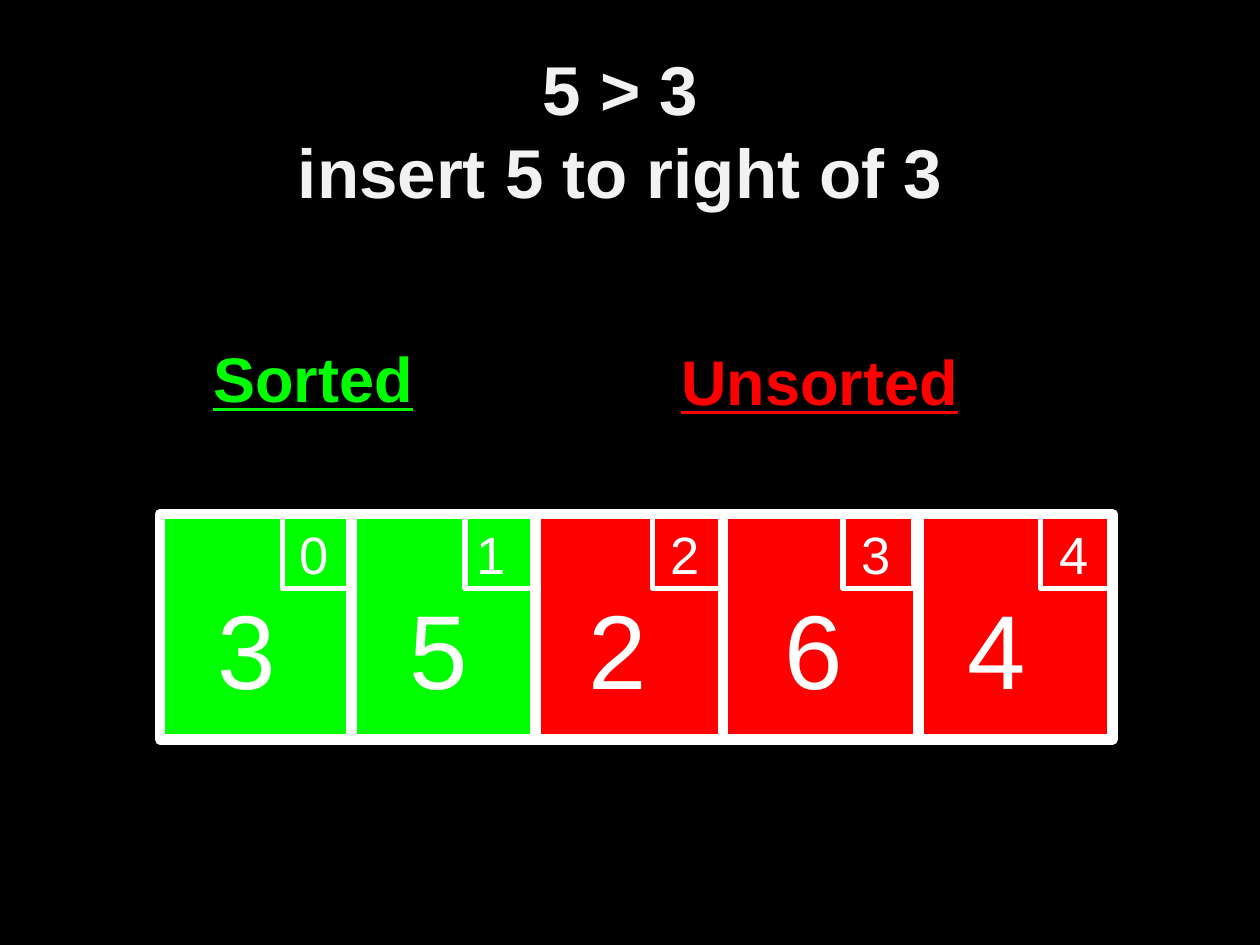
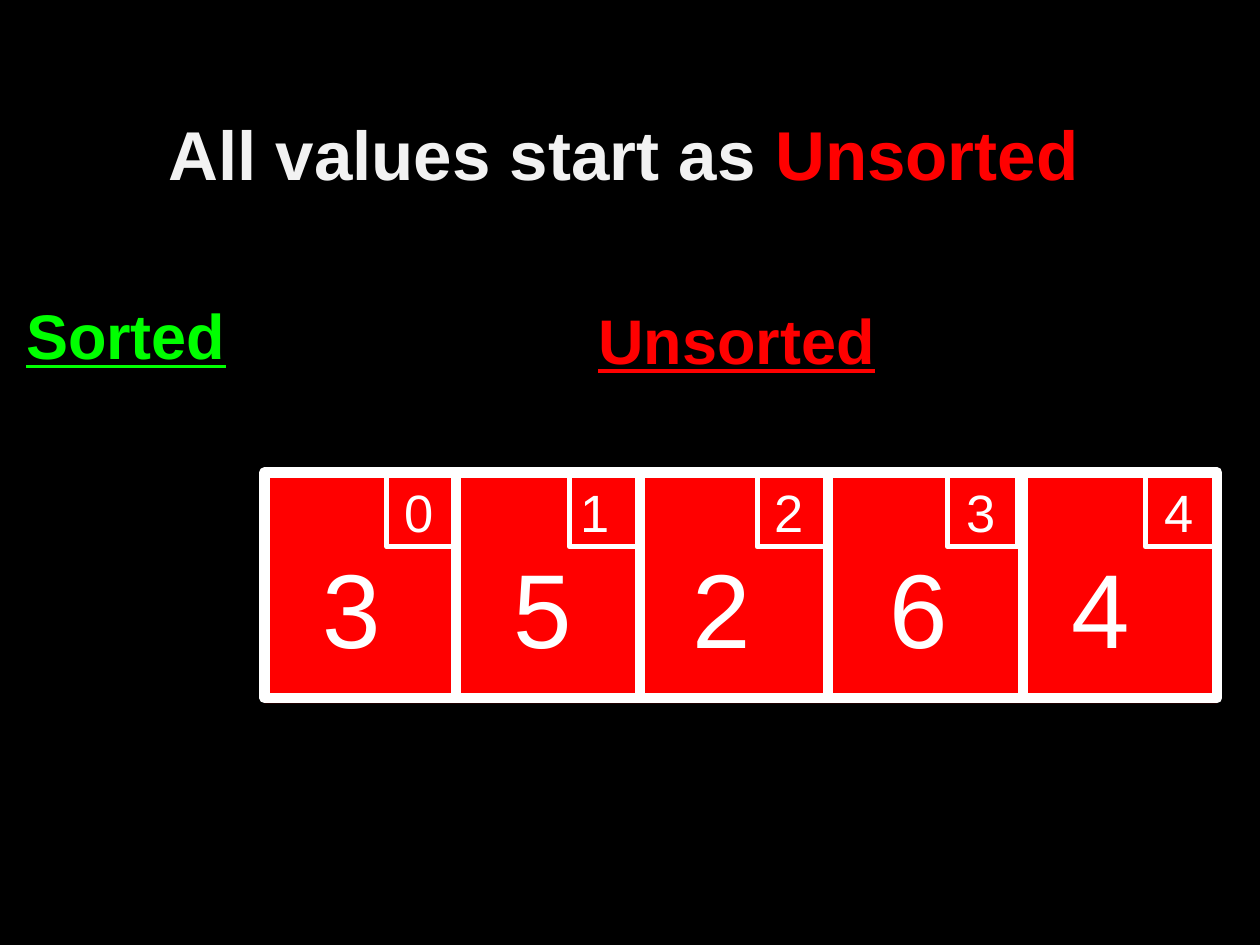
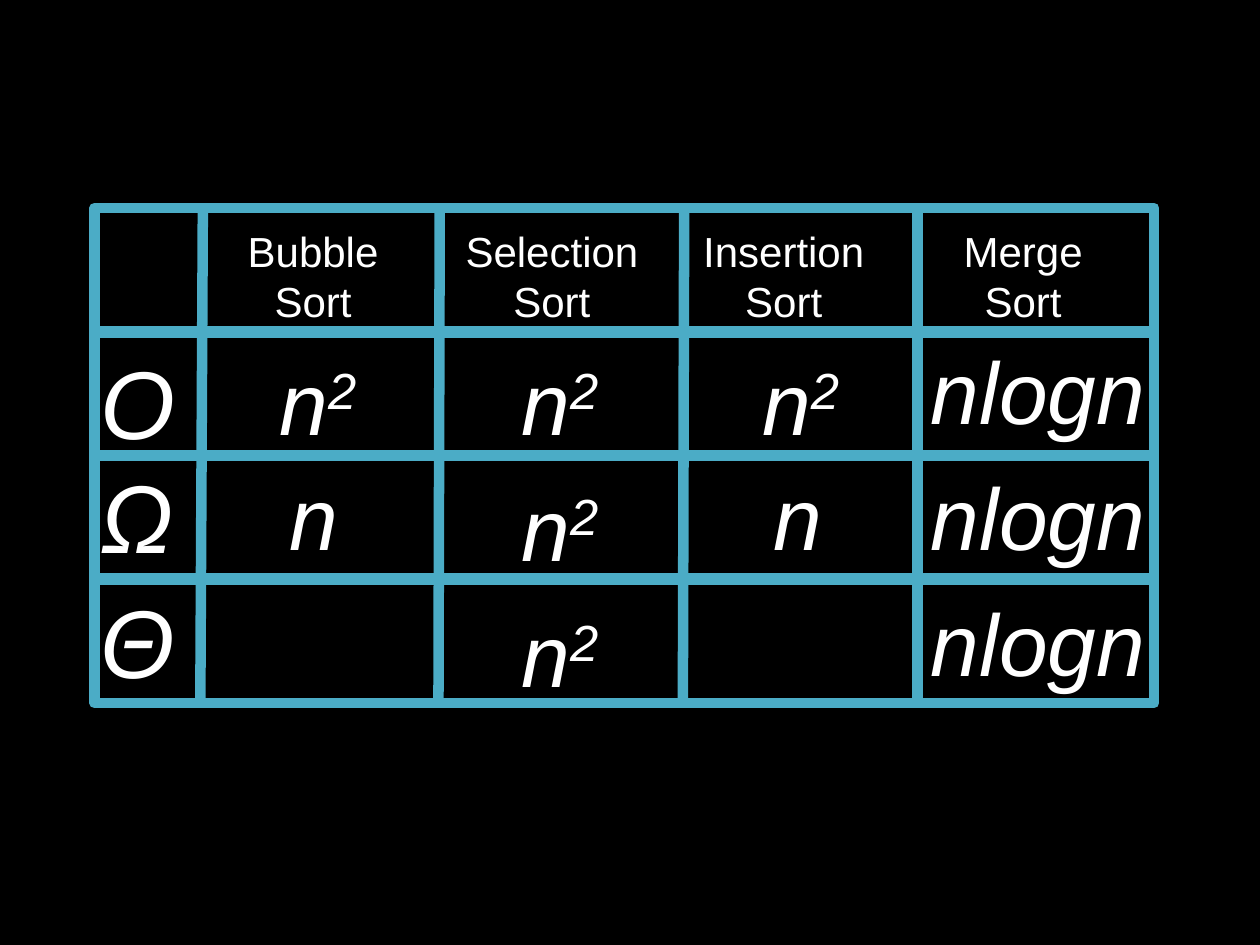
from dataclasses import dataclass, replace
from typing import NamedTuple

from lxml.etree import SubElement
from pptx import Presentation
from pptx.dml.color import RGBColor
from pptx.enum.shapes import MSO_CONNECTOR, MSO_SHAPE
from pptx.enum.text import MSO_ANCHOR, PP_ALIGN
from pptx.oxml.ns import qn
from pptx.util import Emu, Pt

PX = 9144
BLACK = RGBColor(0x00, 0x00, 0x00)
WHITE = RGBColor(0xFF, 0xFF, 0xFF)
PALE = RGBColor(0xF2, 0xF2, 0xF2)
GREEN = RGBColor(0x00, 0xFF, 0x00)
RED = RGBColor(0xFF, 0x00, 0x00)
TEAL = RGBColor(0x4B, 0xAC, 0xC6)


class Box(NamedTuple):
    """Left, top, width and height in px."""
    left: int
    top: int
    width: int
    height: int


class Pads(NamedTuple):
    """Text insets in px."""
    left: int = 10
    top: int = 10
    right: int = 10
    bottom: int = 10


@dataclass(frozen=True)
class Style:
    """Look of a text box."""
    size: float
    color: RGBColor = WHITE
    bold: bool = False
    italic: bool = False
    under: bool = False
    align: PP_ALIGN = PP_ALIGN.LEFT
    anchor: MSO_ANCHOR = MSO_ANCHOR.TOP
    pads: Pads = Pads()


@dataclass(frozen=True)
class Cell:
    """One array cell, with offsets from the array's left edge."""
    value: str
    value_x: int
    tag_x: int
    index_x: int


VALUE = Style(60)
INDEX = Style(30)
TITLE = Style(39.5, PALE, bold=True, align=PP_ALIGN.CENTER,
              anchor=MSO_ANCHOR.MIDDLE, pads=Pads(10, 5, 10, 77))
UNSORTED = Style(36, RED, bold=True, under=True, align=PP_ALIGN.CENTER,
                 anchor=MSO_ANCHOR.MIDDLE, pads=Pads(10, 5, 10, 5))
SORTED = replace(UNSORTED, color=GREEN, pads=Pads(10, 5, 56, 5))
HEAD = Style(24, align=PP_ALIGN.CENTER, anchor=MSO_ANCHOR.MIDDLE)
COST = Style(50, italic=True, anchor=MSO_ANCHOR.MIDDLE)
BOUND = replace(COST, size=55)

CELLS = [
    Cell("3", 36, 97, 101),
    Cell("5", 188, 242, 241),
    Cell("2", 330, 391, 395),
    Cell("6", 486, 542, 547),
    Cell("4", 631, 699, 704),
]
SPLITS = [152, 298, 447, 602]

HEADS = [
    ("Bubble Sort", 157, 183),
    ("Selection Sort", 334, 208),
    ("Insertion Sort", 518, 208),
    ("Merge Sort", 727, 170),
]
BOUNDS = [("O", 238), ("Ω", 329), ("Θ", 428)]
RULES = [(161, 159, 165, 558), (349, 348, 166, 556),
         (543, 542, 166, 556), (728, 728, 166, 556)]
SQUARES = [(212, 238), (404, 238), (404, 338), (404, 438), (595, 238)]
LINEARS = [220, 604]


def emu(*px: int) -> list[Emu]:
    """Turn px into EMU."""
    return [Emu(n * PX) for n in px]


def dress(run, style: Style, color: RGBColor | None = None) -> None:
    """Format a run."""
    font = run.font
    font.name = "Arial"
    font.size = Pt(style.size)
    font.bold = style.bold
    font.italic = style.italic
    font.underline = style.under
    font.color.rgb = color or style.color


def write(slide, box: Box, text: str, style: Style):
    """Add a text box and return its frame."""
    frame = slide.shapes.add_textbox(*emu(*box)).text_frame
    frame.word_wrap = True
    frame.vertical_anchor = style.anchor
    (frame.margin_left, frame.margin_top,
     frame.margin_right, frame.margin_bottom) = emu(*style.pads)
    frame.text = text
    for para in frame.paragraphs:
        para.alignment = style.align
        for run in para.runs:
            dress(run, style)
    return frame


def block(slide, box: Box, fill: RGBColor) -> None:
    """Draw a filled rectangle without an outline."""
    shape = slide.shapes.add_shape(MSO_SHAPE.RECTANGLE, *emu(*box))
    shape.shadow.inherit = False
    shape.fill.solid()
    shape.fill.fore_color.rgb = fill
    shape.line.fill.background()


def frame(slide, box: Box, color: RGBColor, width: int) -> None:
    """Draw an outlined rectangle without a fill."""
    shape = slide.shapes.add_shape(MSO_SHAPE.RECTANGLE, *emu(*box))
    shape.shadow.inherit = False
    shape.fill.background()
    shape.line.color.rgb = color
    shape.line.width = Pt(width)


def rule(slide, x1: int, y1: int, x2: int, y2: int, color: RGBColor) -> None:
    """Draw a thick straight line."""
    line = slide.shapes.add_connector(MSO_CONNECTOR.STRAIGHT, *emu(x1, y1, x2, y2))
    line.line.color.rgb = color
    line.line.width = Pt(6)
    SubElement(line._element.spPr, qn("a:effectLst"))


def array(slide, left: int, top: int) -> None:
    """Draw the five array cells with values and indexes."""
    frame(slide, Box(left, top, 756, 179), WHITE, 6)
    for x in SPLITS:
        rule(slide, left + x, top - 4, left + x, top + 178, WHITE)
    for index, cell in enumerate(CELLS):
        frame(slide, Box(left + cell.tag_x, top - 1, 56, 60), WHITE, 3)
        write(slide, Box(left + cell.index_x, top - 4, 48, 65), str(index), INDEX)
        write(slide, Box(left + cell.value_x, top + 46, 90, 113), cell.value, VALUE)


def blank(deck):
    """Add a black slide."""
    slide = deck.slides.add_slide(deck.slide_layouts[6])
    slide.background.fill.solid()
    slide.background.fill.fore_color.rgb = BLACK
    return slide


def insert(deck) -> None:
    """Build the insertion step."""
    slide = blank(deck)
    block(slide, Box(128, 407, 297, 182), GREEN)
    block(slide, Box(425, 412, 458, 179), RED)
    array(slide, 127, 408)
    write(slide, Box(409, 198, 483, 208), "Unsorted", UNSORTED)
    write(slide, Box(30, 204, 483, 191), "Sorted", SORTED)
    write(slide, Box(96, 78, 808, 121), "5 > 3 \ninsert 5 to right of 3 ", TITLE)


def start(deck) -> None:
    """Build the starting state."""
    slide = blank(deck)
    block(slide, Box(210, 379, 756, 179), RED)
    array(slide, 210, 375)
    write(slide, Box(343, 165, 483, 208), "Unsorted", UNSORTED)
    write(slide, Box(10, 170, 226, 191), "Sorted", SORTED)
    style = replace(TITLE, align=PP_ALIGN.LEFT)
    title = write(slide, Box(124, 97, 777, 121), "All values start as ", style)
    run = title.paragraphs[0].add_run()
    run.text = "Unsorted"
    dress(run, style, RED)


def costs(deck) -> None:
    """Build the grid of running times."""
    slide = blank(deck)
    for row in range(4):
        frame(slide, Box(75, 165 + 98 * row, 841, 99), TEAL, 6)
    for x1, x2, y1, y2 in RULES:
        rule(slide, x1, y1, x2, y2, TEAL)
    for text, left, width in HEADS:
        write(slide, Box(left, 139, width, 160), text, HEAD)
    for text, top in BOUNDS:
        write(slide, Box(70, top, 135, 160), text, BOUND)
    for left, top in SQUARES:
        para = write(slide, Box(left, top, 219, 160), "n", COST).paragraphs[0]
        run = para.add_run()
        run.text = "2"
        dress(run, COST)
        run._r.get_or_add_rPr().set("baseline", "30000")
    for left in LINEARS:
        write(slide, Box(left, 329, 93, 160), "n", COST)
    for row in range(3):
        write(slide, Box(729, 229 + 100 * row, 219, 160), "nlogn", COST)


def main() -> None:
    """Build and save the deck."""
    deck = Presentation()
    deck.slide_width, deck.slide_height = emu(1000, 750)
    insert(deck)
    start(deck)
    costs(deck)
    deck.save("out.pptx")


if __name__ == "__main__":
    main()
